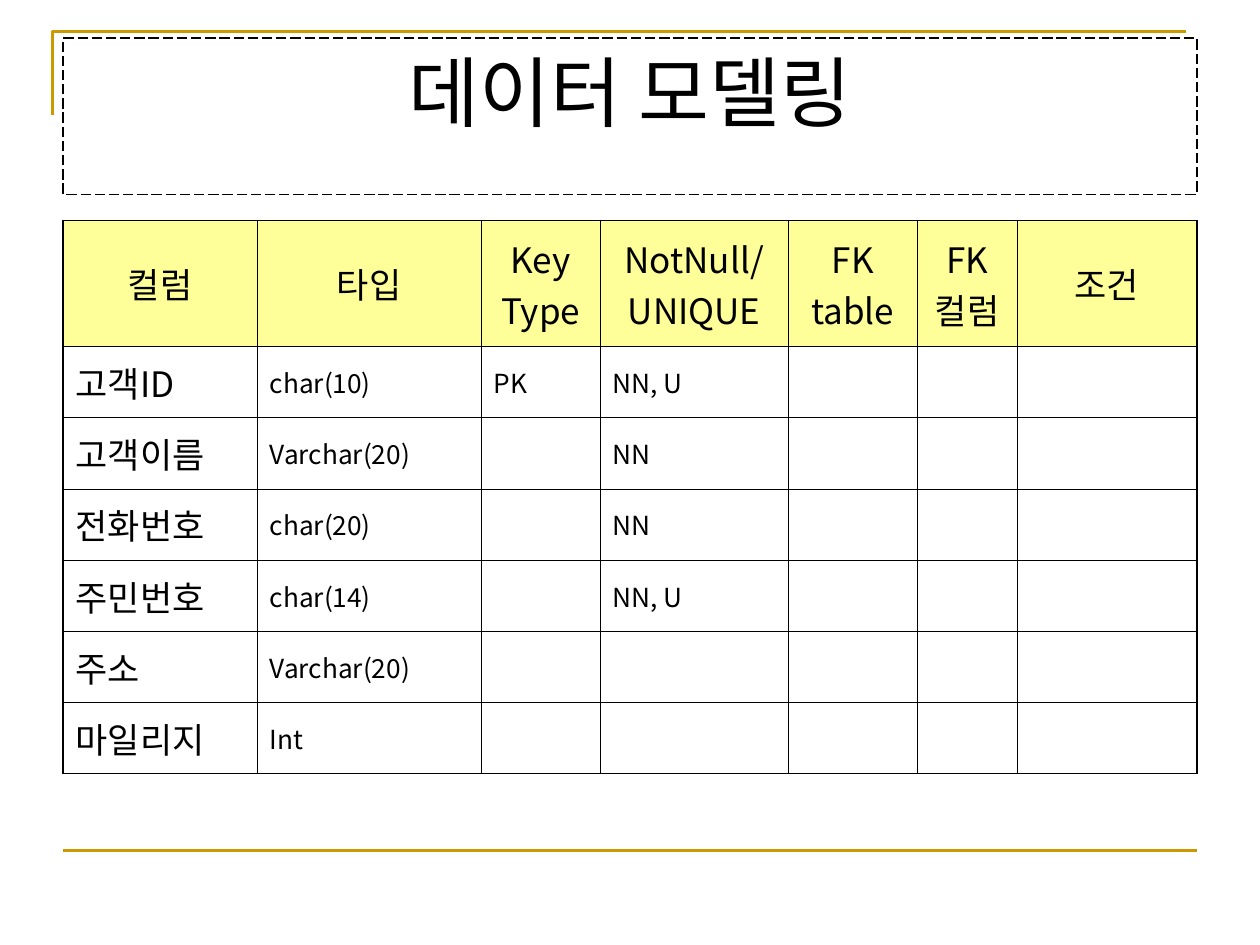
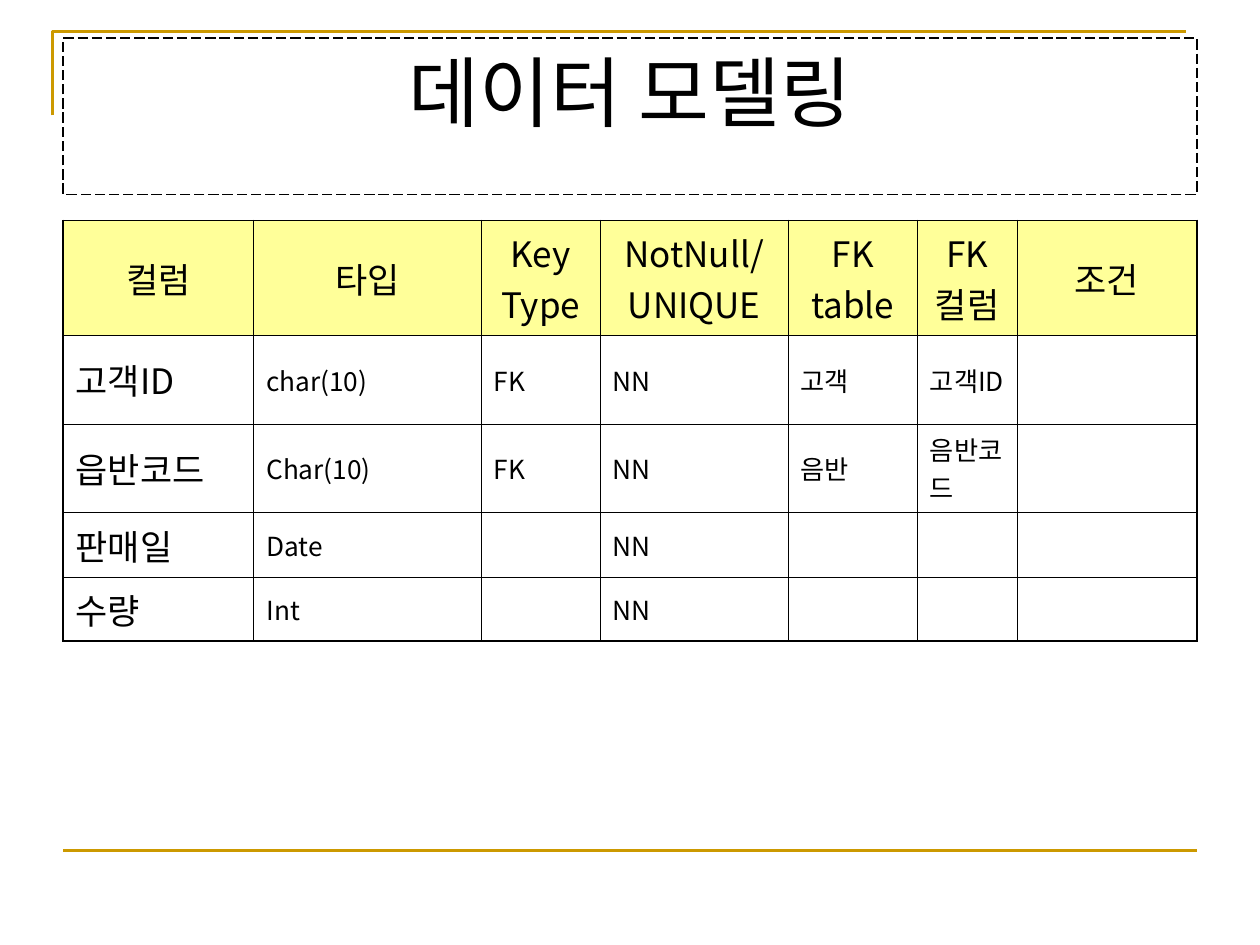
from lxml import etree
from pptx import Presentation
from pptx.dml.color import RGBColor
from pptx.enum.dml import MSO_LINE
from pptx.enum.shapes import MSO_CONNECTOR, MSO_SHAPE
from pptx.enum.text import MSO_ANCHOR, PP_ALIGN
from pptx.oxml.ns import qn
from pptx.util import Pt

STRAIGHT, RECT = MSO_CONNECTOR.STRAIGHT, MSO_SHAPE.RECTANGLE
TOP, MIDDLE = MSO_ANCHOR.TOP, MSO_ANCHOR.MIDDLE
LEFT, CENTER = PP_ALIGN.LEFT, PP_ALIGN.CENTER
LONG_DASH = MSO_LINE.LONG_DASH

FONT = "Noto Sans CJK KR"
BLACK, GOLD, YELLOW = "000000", "CC9900", "FFFF99"
MARGIN, CONTENT_W = 36, 648
THIN, THICK = 0.45, 1.08

TITLE = {"size": 44, "align": CENTER, "before": 0}
HEADER = {"size": 20, "align": CENTER, "before": 5}
NAME = {"size": 20, "align": LEFT, "before": 5}
DETAIL = {"size": 15, "align": LEFT, "before": 3.75}

HEADERS = ["컬럼", "타입", "Key Type", "NotNull/ UNIQUE", "FK table", "FK컬럼", "조건"]
SHARED_WIDTHS = [68, 107.5, 73.75, 57, 102.75]

CUSTOMER = {
    "widths": [111, 128] + SHARED_WIDTHS,
    "heights": [72] + [40.7] * 6,
    "rows": [
        ["고객ID", "char(10)", "PK", "NN, U"],
        ["고객이름", "Varchar(20)", "", "NN"],
        ["전화번호", "char(20)", "", "NN"],
        ["주민번호", "char(14)", "", "NN, U"],
        ["주소", "Varchar(20)"],
        ["마일리지", "Int"],
    ],
}
SALES = {
    "widths": [109, 130] + SHARED_WIDTHS,
    "heights": [65.6, 50.3, 50.8, 36.6, 36.6],
    "rows": [
        ["고객ID", "char(10)", "FK", "NN", "고객", "고객ID"],
        ["읍반코드", "Char(10)", "FK", "NN", "음반", "음반코드"],
        ["판매일", "Date", "", "NN"],
        ["수량", "Int", "", "NN"],
    ],
}


def rgb(color):
    return RGBColor.from_string(color)


class Deck:
    def __init__(self):
        self.prs = Presentation()
        self.prs.slide_width, self.prs.slide_height = Pt(720), Pt(540)
        self.s = None

    def new_slide(self):
        self.s = self.prs.slides.add_slide(self.prs.slide_layouts[6])
        self.corner([(30, 66), (30, 18), (678, 18)])
        self.rule(486)

    def stroke(self, line, color, **attrs):
        line.color.rgb = rgb(color)
        for name, value in attrs.items():
            setattr(line, name, value)

    def text(self, tf, text, style):
        p = tf.paragraphs[0]
        p.alignment = style["align"]
        p.space_before = Pt(style["before"])
        r = p.add_run()
        r.text = text
        for name, value in {"name": FONT, "size": Pt(style["size"]), "bold": False}.items():
            setattr(r.font, name, value)
        r.font.color.rgb = rgb(BLACK)
        etree.SubElement(r.font._element, qn("a:ea"), typeface=FONT)

    def corner(self, points):
        """Draw the open gold outline that frames the title's top left."""
        start, *rest = [(Pt(x), Pt(y)) for x, y in points]
        builder = self.s.shapes.build_freeform(*start)
        builder.add_line_segments(rest, close=False)
        sp = builder.convert_to_shape()
        sp.shadow.inherit = False
        sp.fill.background()
        self.stroke(sp.line, GOLD, width=Pt(1.5))

    def rule(self, y):
        line = self.s.shapes.add_connector(
            STRAIGHT, Pt(MARGIN), Pt(y), Pt(MARGIN + CONTENT_W), Pt(y))
        self.stroke(line.line, GOLD, width=Pt(1.5))
        etree.SubElement(line._element.spPr, qn("a:effectLst"))

    def title(self, text):
        sp = self.s.shapes.add_shape(RECT, Pt(MARGIN), Pt(21.75), Pt(CONTENT_W), Pt(89.25))
        sp.shadow.inherit = False
        sp.fill.background()
        self.stroke(sp.line, BLACK, width=Pt(0.75), dash_style=LONG_DASH)
        tf = sp.text_frame
        tf.word_wrap, tf.vertical_anchor = True, TOP
        self.text(tf, text, TITLE)

    def borders(self, cell, outer):
        """Rule all four sides, thicker where outer says the side is on the table's edge."""
        tcPr = cell._tc.get_or_add_tcPr()
        for side, is_outer in outer.items():
            width = Pt(THICK if is_outer else THIN)
            ln = etree.SubElement(tcPr, qn("a:ln" + side), w=str(width))
            fill = etree.SubElement(ln, qn("a:solidFill"))
            etree.SubElement(fill, qn("a:srgbClr"), val=BLACK)

    def table(self, widths, heights, rows):
        frame = self.s.shapes.add_table(
            len(heights), len(widths), Pt(MARGIN), Pt(126), Pt(sum(widths)), Pt(sum(heights)))
        table = frame.table
        table.first_row = table.horz_banding = False
        for column, width in zip(table.columns, widths):
            column.width = Pt(width)
        for row, height in zip(table.rows, heights):
            row.height = Pt(height)
        last_row, last_col = len(heights) - 1, len(widths) - 1
        for i, values in enumerate([HEADERS] + rows):
            for j in range(len(widths)):
                cell = table.cell(i, j)
                cell.vertical_anchor = MIDDLE
                self.borders(cell, {"L": j == 0, "R": j == last_col,
                                    "T": i == 0, "B": i == last_row})
                if i == 0:
                    cell.fill.solid()
                    cell.fill.fore_color.rgb = rgb(YELLOW)
                else:
                    cell.fill.background()
                if j < len(values) and values[j]:
                    style = HEADER if i == 0 else NAME if j == 0 else DETAIL
                    self.text(cell.text_frame, values[j], style)


def main():
    deck = Deck()
    for model in (CUSTOMER, SALES):
        deck.new_slide()
        deck.title("데이터 모델링")
        deck.table(**model)
    deck.prs.save("out.pptx")


if __name__ == "__main__":
    main()
